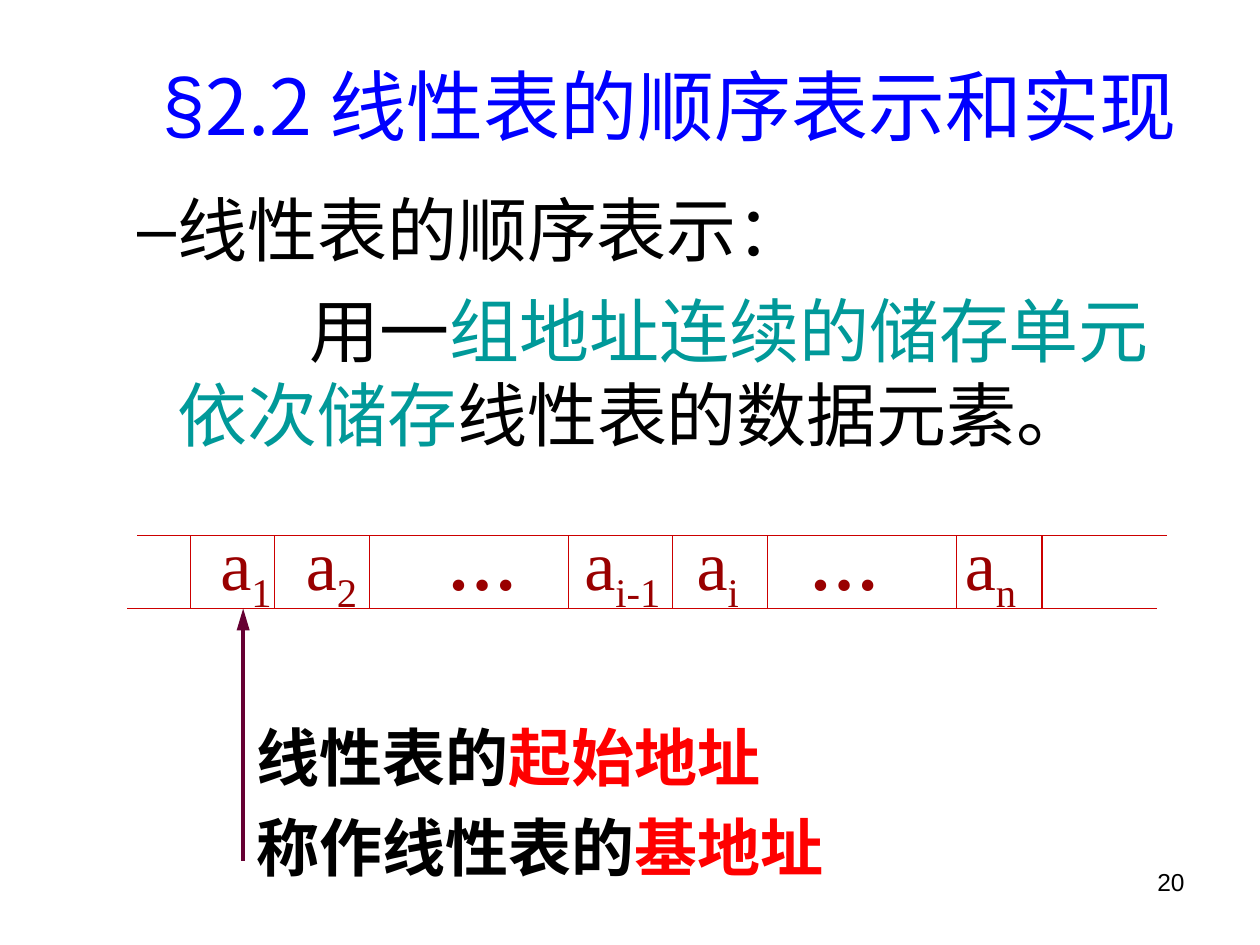
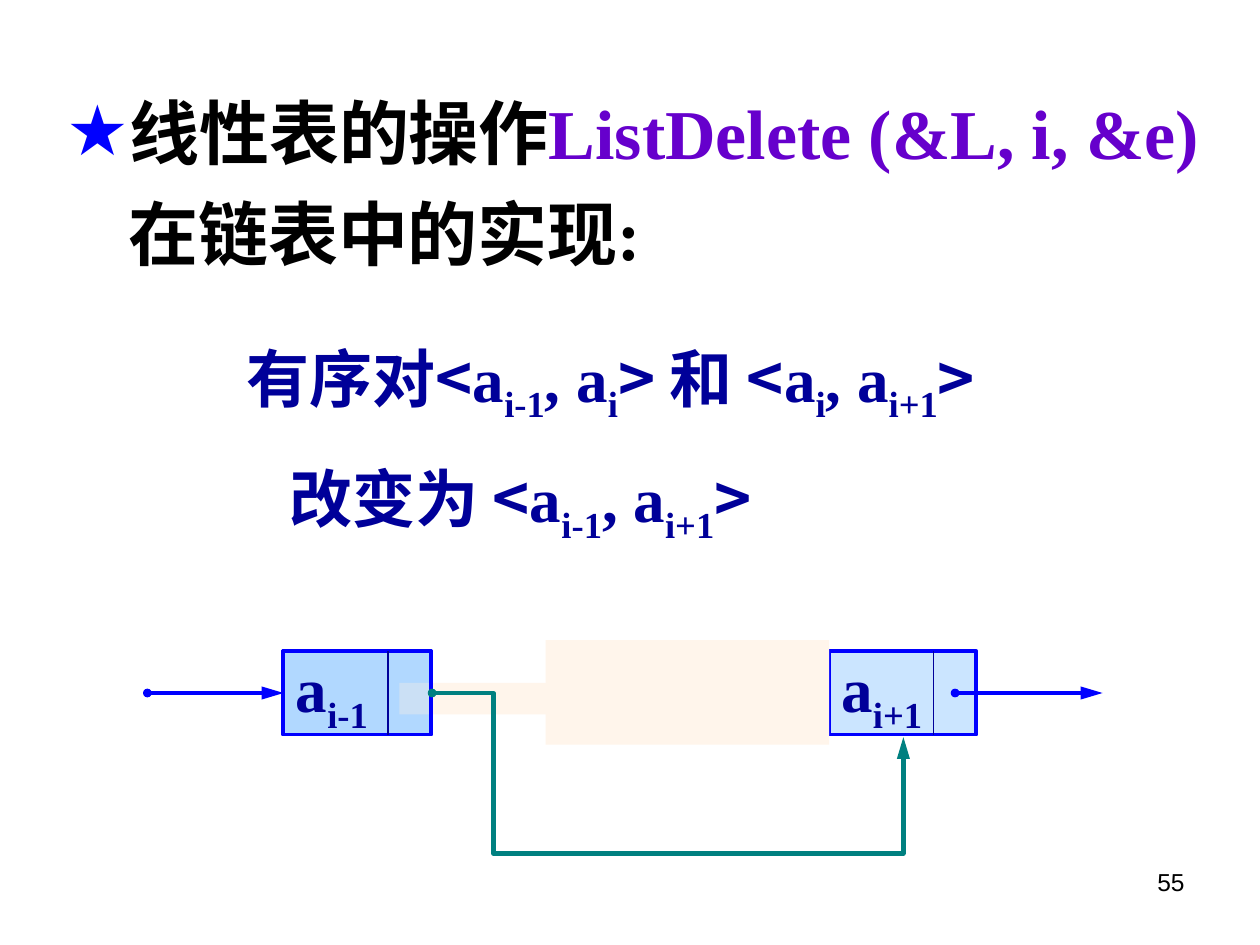
from lxml.etree import SubElement
from pptx import Presentation
from pptx.dml.color import RGBColor
from pptx.enum.lang import MSO_LANGUAGE_ID
from pptx.enum.shapes import MSO_CONNECTOR, MSO_SHAPE
from pptx.enum.text import MSO_ANCHOR, PP_ALIGN
from pptx.oxml.ns import qn
from pptx.util import Inches, Pt

SERIF, SANS, PLAIN = "Times New Roman", "Noto Sans CJK SC", "Arial"
BLACK, RED, BLUE, NAVY = "000000", "FF0000", "0000FF", "000099"
TEAL, CELL, MAROON, PALE = "009999", "CC0000", "990000", "FFF5EB"
SUB = {"sub": True}
rgb = RGBColor.from_string


def add_text(s, at, paras, size, font=SERIF, color=BLACK, bold=False, wrap=True,
             align=PP_ALIGN.LEFT, spacing=1.0, before=0, left=(0,), first=(0,),
             bullet=None, bullet_color=BLUE, asian=SANS, shape=None):
    """Write paragraphs of (text, overrides) runs in a new box or a given shape."""
    box = shape or s.shapes.add_textbox(*[Inches(v) for v in at])
    tf = box.text_frame
    tf.word_wrap = wrap
    for i, runs in enumerate(paras):
        p = tf.paragraphs[0] if i == 0 else tf.add_paragraph()
        p.alignment, p.line_spacing = align, spacing
        p.space_before = Pt(before if i else 0)
        pPr = p._p.get_or_add_pPr()
        pPr.set("marL", str(Inches(left[i % len(left)])))
        pPr.set("indent", str(Inches(first[i % len(first)])))
        if bullet and i == 0:
            clr = SubElement(pPr, qn("a:buClr"))
            SubElement(clr, qn("a:srgbClr"), val=bullet_color)
            SubElement(pPr, qn("a:buFont"), typeface=PLAIN)
            SubElement(pPr, qn("a:buChar"), char=bullet)
        else:
            SubElement(pPr, qn("a:buNone"))
        for text, fmt in runs:
            r = p.add_run()
            r.text = text
            f = r.font
            f.size, f.bold = Pt(size), bold
            f.color.rgb = rgb(fmt.get("color", color))
            f.name = fmt.get("font", font)
            f.language_id = MSO_LANGUAGE_ID.SIMPLIFIED_CHINESE
            rPr = r._r.get_or_add_rPr()
            SubElement(rPr, qn("a:ea"), typeface=asian)
            if fmt.get("sub"):
                rPr.set("baseline", "-25000")
    return box


def add_line(s, ends, color, width, head=None, tail=None, kind=MSO_CONNECTOR.STRAIGHT):
    c = s.shapes.add_connector(kind, *[Inches(v) for v in ends])
    c.line.color.rgb = rgb(color)
    c.line.width = Pt(width)
    ln = c.line._get_or_add_ln()
    if head:
        SubElement(ln, qn("a:headEnd"), type=head, w="sm", len="sm")
    if tail:
        SubElement(ln, qn("a:tailEnd"), type=tail, w="med", len="lg")
    SubElement(c._element.spPr, qn("a:effectLst"))
    return c


prs = Presentation()
prs.slide_width, prs.slide_height = Inches(10), Inches(7.5)

# Slides with their page numbers
slides = []
for number in ("20", "55"):
    s = prs.slides.add_slide(prs.slide_layouts[6])
    add_text(s, (7.17, 6.83, 2.33, 0.52), [[(number, {})]], 14, font=PLAIN,
             align=PP_ALIGN.RIGHT)
    slides.append(s)

# Slide 1: heading and definition
s = slides[0]
add_text(s, (0.49, 1.43, 9.23, 2.39), [
    [("线性表的顺序表示：", {})],
    [("用一", {}), ("组地址连续的储存单元依次储存", {"color": TEAL}),
     ("线性表的数据元素。", {})],
], 40, before=10, left=(0.82,), first=(-0.32, 1.05), bullet="–", bullet_color=BLACK)
add_text(s, (0.92, 0.5, 8.8, 1.42), [[("2.2 线性表的顺序表示和实现", {})]], 44,
         font=SANS, color=BLUE, align=PP_ALIGN.CENTER, spacing=0.9, bullet="§")

# Row of storage cells
top, bottom = 4.25, 4.83
for x in (1.51, 2.18, 2.93, 4.51, 5.34, 6.09, 7.59, 8.27):
    add_line(s, (x, top, x, bottom), CELL, 0.75)
for x, y in ((1.09, top), (1.01, bottom)):
    add_line(s, (x, y, x + 8.17, y), CELL, 0.75)

# Element labels, each placed inside its own cell
for x, index in ((1.65, "1"), (2.33, "2"), (3.45, None), (4.54, "i-1"),
                 (5.43, "i"), (6.33, None), (7.56, "n")):
    runs = [("a", {}), (index, SUB)] if index else [("…", {})]
    add_text(s, (x, 4.08, 1, 0.8), [runs], 40, color=MAROON, bold=not index,
             asian=SERIF)

# Base address
add_line(s, (1.93, 6.83, 1.93, bottom), "660033", 2.5, tail="triangle")
add_text(s, (1.94, 5.53, 5, 1.6), [
    [("线性表的", {}), ("起始地址", {"color": RED})],
    [("称作线性表的", {}), ("基地址", {"color": RED})],
], 36, bold=True, spacing=1.2)

# Slide 2: heading
s = slides[1]
add_text(s, (0.43, 0.53, 9.57, 1.7), [
    [("线性表的操作", {}), ("ListDelete (&L, i, &e)", {"color": "6600CC"})],
    [("在链表中的实现:", {})],
], 40, bold=True, spacing=1.2, left=(0.49,), first=(-0.49, 0), bullet="★")

# Ordered pairs before and after the deletion
sans = {"font": SANS}
prev_next = [("a", {}), ("i-1", SUB), (", a", {}), ("i+1", SUB), (">", sans)]
add_text(s, (1.86, 2.37, 6.6, 2.2), [
    [("有序对<", sans), ("a", {}), ("i-1", SUB), (", a", {}), ("i", SUB),
     ("> 和 <", sans), ("a", {}), ("i", SUB), (", a", {}), ("i+1", SUB), (">", sans)],
    [("改变为 <", sans)] + prev_next,
], 36, color=NAVY, bold=True, spacing=1.4, left=(0, 0.34))

# List nodes; pale patches cover the deleted node and its link
node_w, node_h, node_y, mid = 1.17, 0.66, 5.17, 5.5
nodes = []
for x, y, w, h, label in (
    (2.25, node_y, node_w, node_h, None),
    (6.58, node_y, node_w, node_h, "i+1"),
    (3.17, 5.42, 1.25, 0.25, "patch"),
    (2.25, node_y, node_w, node_h, "i-1"),
    (4.33, 5.08, 2.25, 0.83, "patch"),
):
    sp = s.shapes.add_shape(MSO_SHAPE.RECTANGLE, *[Inches(v) for v in (x, y, w, h)])
    sp.shadow.inherit = False
    sp.fill.solid()
    if label == "patch":
        sp.fill.fore_color.rgb = rgb(PALE)
        sp.line.fill.background()
        continue
    sp.fill.fore_color.rgb = rgb("99CCFF")
    clr = sp._element.spPr.find(qn("a:solidFill")).find(qn("a:srgbClr"))
    SubElement(clr, qn("a:alpha"), val="50000")
    sp.line.color.rgb = rgb(BLUE)
    sp.line.width = Pt(2.25)
    if label:
        sp.text_frame.vertical_anchor = MSO_ANCHOR.MIDDLE
        add_text(s, None, [[("a", {}), (label, SUB)]], 36, color=NAVY, bold=True,
                 wrap=False, shape=sp)
        divider = x + 0.83
        add_line(s, (divider, node_y, divider, node_y + node_h), NAVY, 0.75)
        nodes.append(sp)

# Links into the first node and out of the last
link_in = add_line(s, (1.17, mid, 2.25, mid), BLUE, 2.5, "oval", "triangle")
link_in.end_connect(nodes[1], 1)
add_line(s, (7.58, mid, 8.75, mid), BLUE, 2.5, "oval", "triangle")

# New link around the deleted node
bypass = add_line(s, (3.43, mid, 7.17, 5.85), "008080", 2.5, "oval", "triangle",
                  MSO_CONNECTOR.ELBOW)
geom = bypass._element.spPr.find(qn("a:prstGeom"))
geom.set("prst", "bentConnector4")
guides = geom.find(qn("a:avLst"))
if guides is None:
    guides = SubElement(geom, qn("a:avLst"))
for name, value in (("adj1", 13000), ("adj2", 364000)):
    SubElement(guides, qn("a:gd"), name=name, fmla=f"val {value}")

prs.save("out.pptx")
